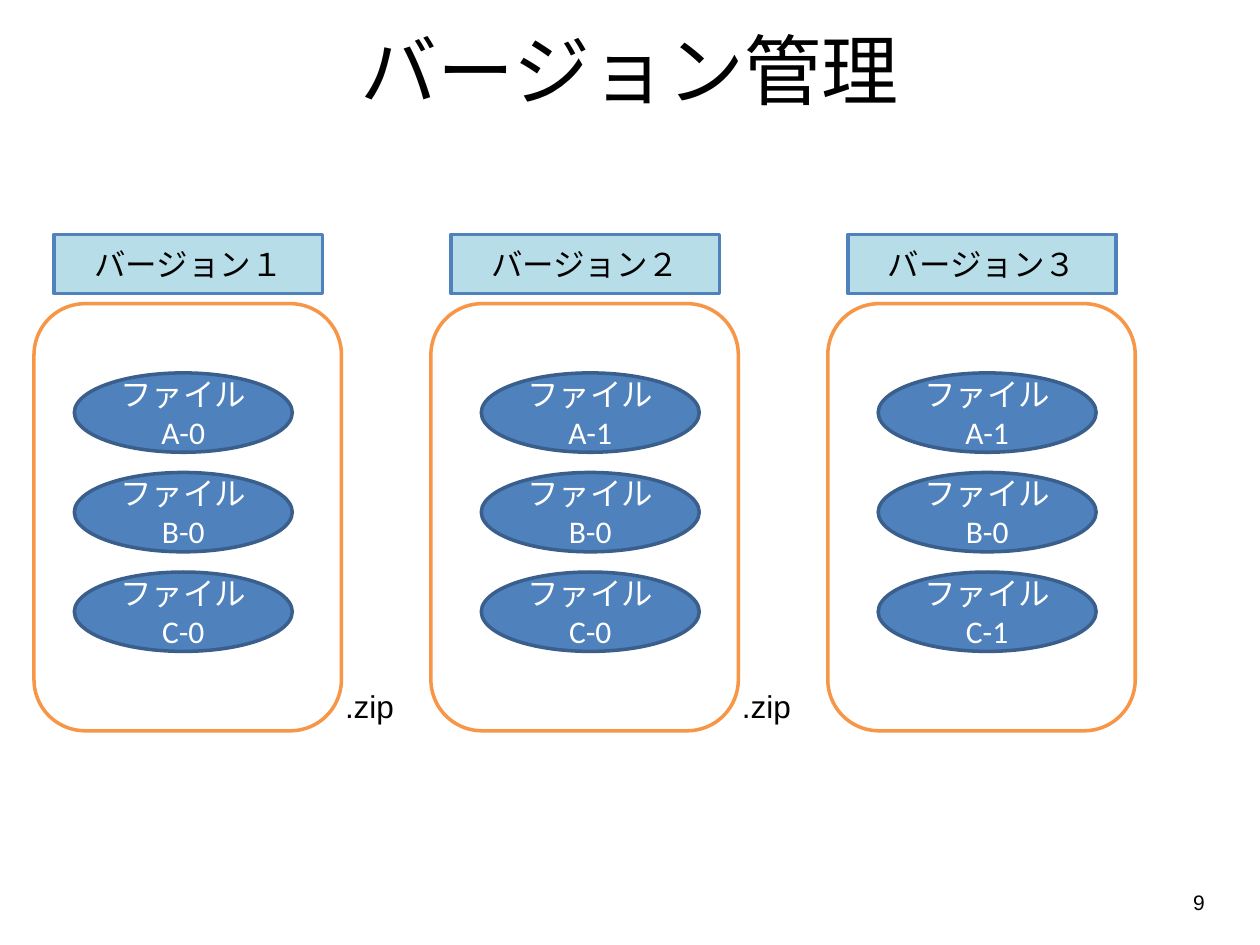
from pptx import Presentation
from pptx import util as u
from pptx.dml.color import RGBColor
from pptx.enum import lang, shapes, text

BLACK = RGBColor(0x00, 0x00, 0x00)
WHITE = RGBColor(0xFF, 0xFF, 0xFF)
BLUE = RGBColor(0x4F, 0x81, 0xBD)
NAVY = RGBColor(0x3A, 0x5F, 0x8C)
AQUA = RGBColor(0xB7, 0xDE, 0xE8)
ORANGE = RGBColor(0xF7, 0x96, 0x46)

LEFT, STEP = 0.27, 3.15  # first column and column pitch, inches
TOP, ROW = 2.96, 0.79    # first file row and row pitch, inches
FORM = shapes.MSO_SHAPE
ALIGN = text.PP_ALIGN

deck = Presentation()
deck.slide_width, deck.slide_height = u.Inches(10), u.Inches(7.5)
slide = deck.slides.add_slide(deck.slide_layouts[6])


def write(box, words, size=18, font="Calibri", color=BLACK,
          align=ALIGN.CENTER, anchor=text.MSO_ANCHOR.MIDDLE, wrap=True):
    frame = box.text_frame
    frame.word_wrap = wrap
    frame.vertical_anchor = anchor
    para = frame.paragraphs[0]
    para.alignment = align
    run = para.add_run()
    run.text = words
    run.font.size = u.Pt(size)
    run.font.name = font
    run.font.color.rgb = color
    run.font.language_id = lang.MSO_LANGUAGE_ID.JAPANESE


def draw(form, place, fill, line):
    """Add a preset shape at left, top, width, height in inches."""
    shape = slide.shapes.add_shape(form, *map(u.Inches, place))
    shape.shadow.inherit = False
    shape.fill.solid()
    shape.fill.fore_color.rgb = fill
    shape.line.color.rgb = line
    shape.line.width = u.Pt(2)
    return shape


title = slide.shapes.add_textbox(*map(u.Inches, (0.5, -0.08, 9, 1.25)))
write(title, "バージョン管理", size=44)
page = slide.shapes.add_textbox(*map(u.Inches, (7.33, 6.9, 2.33, 0.52)))
write(page, "9", size=12, font="Arial", align=ALIGN.RIGHT)

# Each version: heading, left inset of its files, file names
sets = [
    ("バージョン１", 0.32, ("A-0", "B-0", "C-0")),
    ("バージョン２", 0.4, ("A-1", "B-0", "C-0")),
    ("バージョン３", 0.4, ("A-1", "B-0", "C-1")),
]
for col, (head, inset, files) in enumerate(sets):
    x = LEFT + col * STEP
    draw(FORM.FLOWCHART_ALTERNATE_PROCESS, (x, 2.41, 2.44, 3.39), WHITE, ORANGE)
    for row, name in enumerate(files):
        place = (x + inset, TOP + row * ROW, 1.73, 0.63)
        write(draw(FORM.OVAL, place, BLUE, NAVY), "ファイル" + name, color=WHITE)
    write(draw(FORM.RECTANGLE, (x + 0.16, 1.86, 2.13, 0.47), AQUA, BLUE), head)

for col in range(2):
    place = (LEFT + col * STEP + 2.37, 5.4, 0.6, 0.4)
    note = slide.shapes.add_textbox(*map(u.Inches, place))
    write(note, ".zip", font="Arial", align=ALIGN.LEFT,
          anchor=text.MSO_ANCHOR.TOP, wrap=False)

deck.save("out.pptx")
